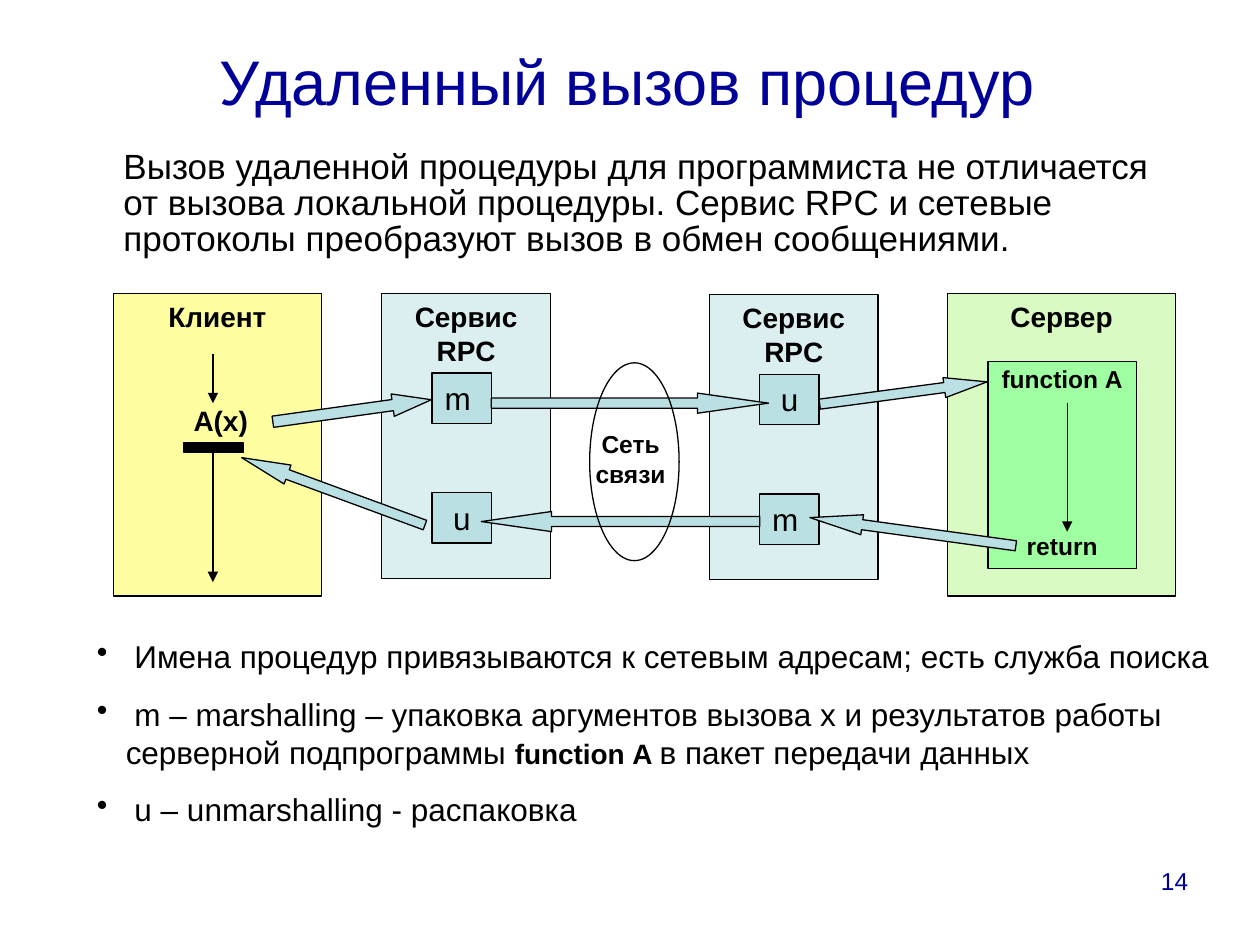
from pptx import Presentation, util as u
from pptx.dml.color import RGBColor
from pptx.enum import shapes, text
from pptx.oxml.ns import qn
from lxml import etree

HUES = {
    "ink": "000000", "navy": "000099", "client": "FEFEA0", "rpc": "DCEFF0",
    "teal": "BBE0E3", "server": "D9FAC2", "func": "A0FEA2",
}
KIND = shapes.MSO_SHAPE
SIDE = text.PP_ALIGN
EDGE = u.Pt(0.74)
HEAD = {"size": u.Pt(16), "bold": True}
NOTE = {"size": u.Pt(14), "bold": True}
MARK = {"size": u.Pt(18)}


def hue(name):
    """Return the named colour."""
    return RGBColor.from_string(HUES[name])


def apply(item, vals):
    """Set attributes of an object from a dict."""
    for key, val in vals.items():
        setattr(item, key, val)


def box(at):
    """Turn left, top, width and height in inches into lengths."""
    return [u.Inches(val) for val in at]


def place(item, at):
    """Move and size a shape."""
    apply(item, dict(zip(("left", "top", "width", "height"), box(at))))


def frame(item, anchor=text.MSO_ANCHOR.TOP):
    """Prepare a wrapped text frame with fixed margins."""
    body = item.text_frame
    apply(body, {
        "word_wrap": True, "auto_size": text.MSO_AUTO_SIZE.NONE,
        "vertical_anchor": anchor,
        "margin_left": u.Inches(0.1), "margin_right": u.Inches(0.1),
        "margin_top": u.Inches(0.05), "margin_bottom": u.Inches(0.05),
    })
    return body


def write(para, runs, form, ink="ink"):
    """Fill a paragraph with (text, font values) runs."""
    apply(para, form)
    for words, font in runs:
        run = para.add_run()
        run.text = words
        apply(run.font, {"name": "Arial", **font})
        run.font.color.rgb = hue(ink)


def fill(body, lines, font, form, gap=0):
    """Write lines as paragraphs, with a gap in points between them."""
    for num, words in enumerate(lines):
        para = body.add_paragraph() if num else body.paragraphs[0]
        space = {"space_before": u.Pt(gap)} if num else {}
        write(para, [(words, font)], {**form, **space})


def bullet(para, left):
    """Give a paragraph a hanging bullet, or none when left is zero."""
    props = para._p.get_or_add_pPr()
    props.set("marL", str(u.Inches(left)))
    props.set("indent", str(-u.Inches(left)))
    if left:
        etree.SubElement(props, qn("a:buChar")).set("char", "•")
    else:
        etree.SubElement(props, qn("a:buNone"))


def shape(slide, kind, at, tint=None):
    """Add an outlined preset shape."""
    item = slide.shapes.add_shape(kind, *box(at))
    item.shadow.inherit = False
    if tint:
        item.fill.solid()
        item.fill.fore_color.rgb = hue(tint)
    else:
        item.fill.background()
    item.line.color.rgb = hue("ink")
    item.line.width = EDGE
    return item


def panel(slide, at, tint, lines, font, form, gap=0):
    """Add a rectangle with text at its top."""
    item = shape(slide, KIND.RECTANGLE, at, tint)
    fill(frame(item), lines, font, form, gap)


def block(slide, kind, at, turn, head):
    """Add a block arrow with its turn and head length."""
    item = shape(slide, kind, at, "teal")
    item.rotation = turn
    item.adjustments[0] = 0.5
    item.adjustments[1] = head


def flow(slide, x, top, end):
    """Add a thin arrow pointing down."""
    ends = [u.Inches(val) for val in (x, top, x, end)]
    line = slide.shapes.add_connector(shapes.MSO_CONNECTOR.STRAIGHT, *ends)
    line.line.color.rgb = hue("ink")
    line.line.width = EDGE
    etree.SubElement(line.line._get_or_add_ln(), qn("a:tailEnd")).set("type", "triangle")
    etree.SubElement(line._element.spPr, qn("a:effectLst"))


def label(slide, at):
    """Add a text box and return its frame."""
    return frame(slide.shapes.add_textbox(*box(at)))


def intro(slide):
    """Fill the title and the opening paragraph."""
    title, body = slide.shapes.title, slide.placeholders[1]
    place(title, (0.08, -0.11, 9.8, 1.5))
    write(frame(title, text.MSO_ANCHOR.MIDDLE).paragraphs[0],
          [("Удаленный вызов процедур", {"size": u.Pt(36)})],
          {"alignment": SIDE.CENTER}, "navy")
    place(body, (0.88, 1.15, 8.62, 1.1))
    para = frame(body).paragraphs[0]
    write(para, [("Вызов удаленной процедуры для программиста не отличается "
                  "от вызова локальной процедуры. Сервис RPC и сетевые "
                  "протоколы преобразуют вызов в обмен сообщениями.",
                  {"size": u.Pt(20)})],
          {"line_spacing": 0.85, "space_before": u.Pt(0)})
    bullet(para, 0)


def scheme(slide):
    """Draw the call from client to server and back."""
    mid = {"alignment": SIDE.CENTER}
    left = {"alignment": SIDE.LEFT}
    panel(slide, (0.9, 2.33, 1.65, 2.4), "client", ["Клиент", " A(x)"], HEAD, mid, 40)
    panel(slide, (7.52, 2.33, 1.81, 2.4), "server", ["Сервер"], HEAD, mid)
    for x, y, pair in ((3.03, 2.33, ("m", " u")), (5.63, 2.34, (" u", "m"))):
        panel(slide, (x, y, 1.34, 2.26), "rpc", ["Сервис RPC"], HEAD, mid)
        for row, mark in enumerate(pair):
            at = (x + 0.4, y + 0.63 + 0.95 * row, 0.47, 0.4)
            panel(slide, at, "teal", [mark], MARK, left)
    panel(slide, (7.84, 2.87, 1.18, 1.64), "func", ["function А", "return"],
          NOTE, {**mid, "line_spacing": 0.9}, 80)
    shape(slide, KIND.RECTANGLE, (1.46, 3.51, 0.47, 0.08), "ink")
    for ends in ((1.69, 2.81, 3.2), (1.69, 3.59, 4.62), (8.47, 3.2, 4.22)):
        flow(slide, *ends)
    calls = (
        ((2.16, 3.17, 1.27, 0.18), 352.1, 1.72),
        ((3.9, 3.12, 2.2, 0.16), 0, 3.53),
        ((6.5, 3.04, 1.34, 0.16), 352.4, 2.14),
    )
    backs = (
        ((6.42, 4.14, 1.65, 0.16), 7.8, 2.62),
        ((3.82, 4.06, 2.21, 0.16), 0, 3.49),
        ((1.87, 3.82, 1.55, 0.16), 20.2, 2.43),
    )
    for kind, group in ((KIND.RIGHT_ARROW, calls), (KIND.LEFT_ARROW, backs)):
        for at, turn, head in group:
            block(slide, kind, at, turn, head)
    shape(slide, KIND.OVAL, (4.68, 2.88, 0.71, 1.57))
    fill(label(slide, (4.61, 3.36, 0.79, 0.57)), ["Сеть связи"], NOTE, mid)


def notes(slide):
    """Write the bulleted list under the scheme."""
    rows = (
        [(" Имена процедур привязываются к сетевым адресам; есть служба поиска", MARK)],
        [(" m – marshalling – упаковка аргументов вызова х и результатов "
          "работы серверной подпрограммы ", MARK),
         ("function А", HEAD), (" ", NOTE), ("в пакет передачи данных", MARK)],
        [(" u – unmarshalling - распаковка", MARK)],
    )
    body = label(slide, (0.67, 5.01, 9.06, 1.62))
    for num, runs in enumerate(rows):
        para = body.add_paragraph() if num else body.paragraphs[0]
        write(para, runs, {"space_before": u.Pt(11.2)})
        bullet(para, 0.23)


def main():
    """Build and save the slide."""
    deck = Presentation()
    deck.slide_width, deck.slide_height = u.Inches(10), u.Inches(7.5)
    slide = deck.slides.add_slide(deck.slide_layouts[1])
    intro(slide)
    scheme(slide)
    notes(slide)
    write(label(slide, (7.2, 6.82, 2.33, 0.52)).paragraphs[0],
          [("14", {"size": u.Pt(14)})], {"alignment": SIDE.RIGHT}, "navy")
    deck.save("out.pptx")


main()
